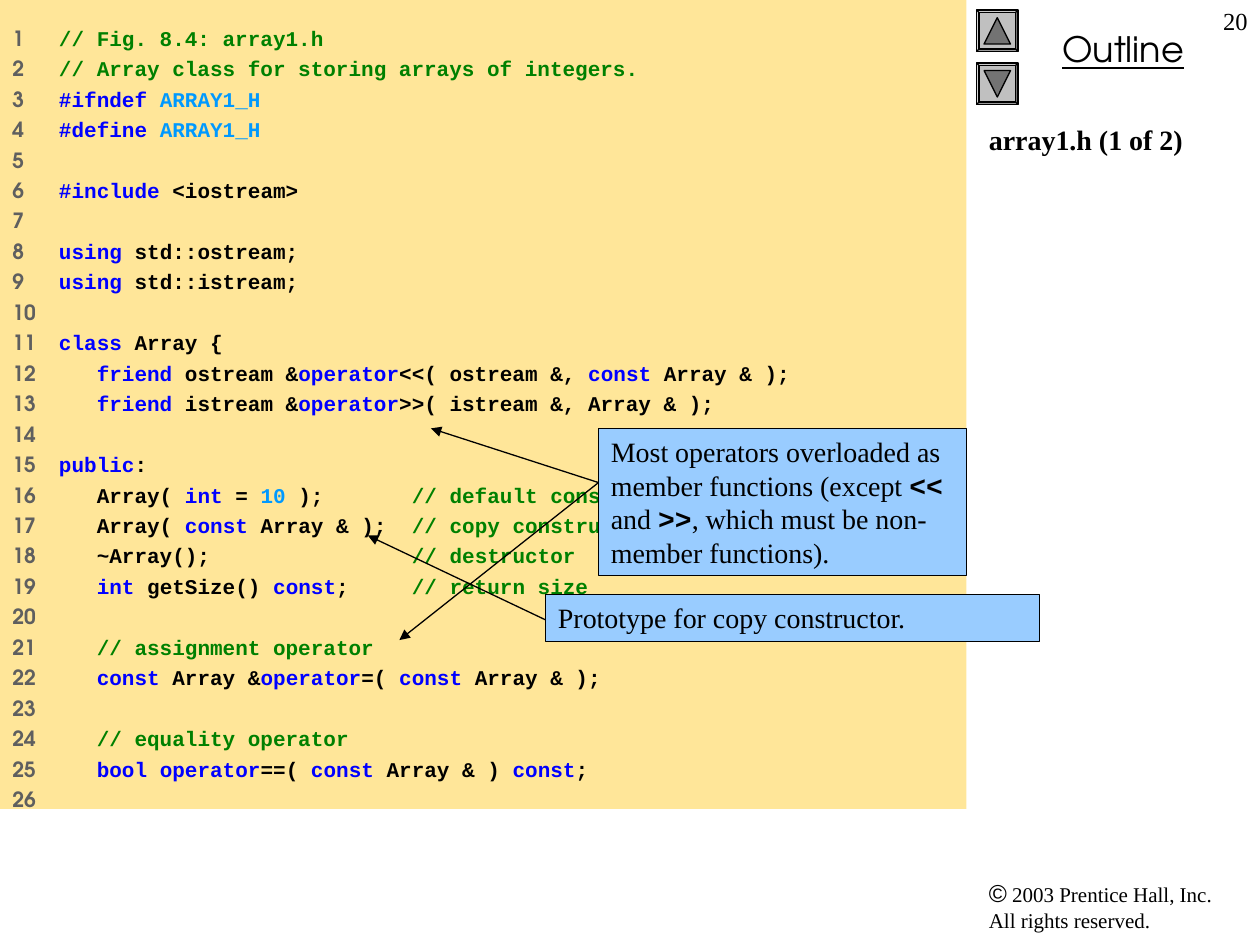
from dataclasses import dataclass
from itertools import groupby

from lxml.etree import SubElement
from pptx import Presentation
from pptx.dml.color import RGBColor
from pptx.enum.shapes import MSO_CONNECTOR, MSO_SHAPE
from pptx.enum.text import MSO_ANCHOR, PP_ALIGN
from pptx.oxml.ns import qn
from pptx.util import Inches, Pt


@dataclass(frozen=True)
class Theme:
    ink: str = "000000"
    panel: str = "FFE699"
    callout: str = "99CCFF"
    button: str = "C0C0C0"
    button_arrow: str = "737373"
    line_number: str = "5F5F5F"
    comment: str = "008000"
    keyword: str = "0000FF"
    literal: str = "0099FF"
    serif: str = "Times New Roman"
    sans: str = "Arial"
    heading: str = "TeX Gyre Adventor"
    mono: str = "Courier New"
    code_size: int = 12
    small_size: int = 12
    number_size: int = 14
    body_size: int = 16
    heading_size: int = 20
    line_width: float = 0.75


KEYWORDS = {"#ifndef", "#define", "#include", "using", "class", "friend",
            "operator", "const", "public", "int", "bool"}
LITERALS = {"ARRAY1_H", "10"}

CODE = """\
// Fig. 8.4: array1.h
// Array class for storing arrays of integers.
#ifndef ARRAY1_H
#define ARRAY1_H

#include <iostream>

using std::ostream;
using std::istream;

class Array {
   friend ostream &operator<<( ostream &, const Array & );
   friend istream &operator>>( istream &, Array & );

public:
   Array( int = 10 );       // default constructor
   Array( const Array & );  // copy constructor
   ~Array();                // destructor
   int getSize() const;     // return size

   // assignment operator
   const Array &operator=( const Array & );

   // equality operator
   bool operator==( const Array & ) const;
"""


class SlideBuilder:
    def __init__(self, slide, theme):
        self.slide = slide
        self.theme = theme

    def add_run(self, paragraph, text, font, size, color=None, bold=False):
        run = paragraph.add_run()
        run.text = text
        run.font.name = font
        run.font.size = Pt(size)
        run.font.bold = bold
        run.font.color.rgb = RGBColor.from_string(color or self.theme.ink)
        return run

    def prepare_frame(self, shape, vertical_inset=0.05):
        frame = shape.text_frame
        frame.word_wrap = True
        frame.vertical_anchor = MSO_ANCHOR.TOP
        frame.margin_left = frame.margin_right = Inches(0.1)
        frame.margin_top = frame.margin_bottom = Inches(vertical_inset)
        frame.paragraphs[0].alignment = PP_ALIGN.LEFT
        return frame

    def text_box(self, left, top, width, height):
        box = self.slide.shapes.add_textbox(
            Inches(left), Inches(top), Inches(width), Inches(height))
        return self.prepare_frame(box).paragraphs[0]

    def shape(self, kind, left, top, width, height, fill, outlined=True):
        shape = self.slide.shapes.add_shape(
            kind, Inches(left), Inches(top), Inches(width), Inches(height))
        shape.shadow.inherit = False
        shape.fill.solid()
        shape.fill.fore_color.rgb = RGBColor.from_string(fill)
        if outlined:
            shape.line.color.rgb = RGBColor.from_string(self.theme.ink)
            shape.line.width = Pt(self.theme.line_width)
        else:
            shape.line.fill.background()
        return shape

    def scroll_button(self, top, rotation):
        bevel = self.shape(MSO_SHAPE.BEVEL, 7.75, top, 0.33, 0.33, self.theme.button)
        bevel.adjustments[0] = 0.06
        triangle = self.shape(MSO_SHAPE.ISOSCELES_TRIANGLE, 7.81, top + 0.06,
                              0.21, 0.21, self.theme.button_arrow)
        triangle.rotation = rotation

    def callout(self, left, top, width, height, parts):
        box = self.shape(MSO_SHAPE.RECTANGLE, left, top, width, height,
                         self.theme.callout)
        paragraph = self.prepare_frame(box).paragraphs[0]
        for text, is_code in parts:
            font = self.theme.mono if is_code else self.theme.serif
            self.add_run(paragraph, text, font, self.theme.body_size, bold=is_code)

    def arrow(self, start, end):
        connector = self.slide.shapes.add_connector(
            MSO_CONNECTOR.STRAIGHT, *(Inches(value) for value in start + end))
        connector.line.color.rgb = RGBColor.from_string(self.theme.ink)
        connector.line.width = Pt(self.theme.line_width)
        line = connector.line._get_or_add_ln()
        SubElement(line, qn("a:tailEnd"), type="triangle")
        SubElement(connector._element.spPr, qn("a:effectLst"))

    def highlight(self, line):
        """Yield the text and colour of each part of a code line."""
        code, marker, comment = line.partition("//")
        words = groupby(code, lambda letter: letter.isalnum() or letter in "_#")
        for _, letters in words:
            word = "".join(letters)
            if word in KEYWORDS:
                yield word, self.theme.keyword
            elif word in LITERALS:
                yield word, self.theme.literal
            else:
                yield word, self.theme.ink
        if marker:
            yield marker + comment, self.theme.comment

    def code_panel(self, left, top, width, height, lines):
        theme = self.theme
        panel = self.shape(MSO_SHAPE.RECTANGLE, left, top, width, height,
                           theme.panel, outlined=False)
        frame = self.prepare_frame(panel, vertical_inset=0.2)
        for number, line in enumerate(lines, start=1):
            paragraph = frame.paragraphs[0] if number == 1 else frame.add_paragraph()
            paragraph.alignment = PP_ALIGN.LEFT
            if number > 1:
                paragraph.space_before = Pt(3)
            tabs = SubElement(paragraph._p.get_or_add_pPr(), qn("a:tabLst"))
            SubElement(tabs, qn("a:tab"), pos=str(Inches(0.37)), algn="l")
            label = f"{number}\t" if line else str(number)
            self.add_run(paragraph, label, theme.heading, theme.code_size,
                         theme.line_number, bold=True)
            for text, color in self.highlight(line):
                self.add_run(paragraph, text, theme.mono, theme.code_size,
                             color, bold=True)


def main():
    theme = Theme()
    presentation = Presentation()
    presentation.slide_width, presentation.slide_height = Inches(10), Inches(7.5)
    slide = presentation.slides.add_slide(presentation.slide_layouts[6])
    builder = SlideBuilder(slide, theme)

    # Copyright line
    paragraph = builder.text_box(7.75, 6.92, 2.17, 0.54)
    builder.add_run(paragraph, "©", theme.sans, theme.number_size)
    builder.add_run(paragraph, " 2003 Prentice Hall, Inc.", theme.serif, theme.small_size)
    paragraph.add_line_break()
    builder.add_run(paragraph, "All rights reserved.", theme.serif, theme.small_size)

    # Outline heading and scroll buttons
    paragraph = builder.text_box(7.83, 0.17, 2.17, 0.44)
    paragraph.alignment = PP_ALIGN.CENTER
    run = builder.add_run(paragraph, "Outline", theme.heading, theme.heading_size)
    run.font.underline = True
    builder.scroll_button(0.08, 0)
    builder.scroll_button(0.5, 180)

    # File title
    paragraph = builder.text_box(7.75, 0.92, 2.25, 5.25)
    builder.add_run(paragraph, "array1.h (1 of 2)", theme.serif, theme.body_size, bold=True)

    # Code listing, ending with an empty numbered line
    builder.code_panel(0, 0, 7.67, 6.42, CODE.split("\n"))

    # Callouts with their arrows
    builder.callout(4.75, 3.4, 2.92, 1.17, [
        ("Most operators overloaded as member functions (except ", False),
        ("<<", True), (" and ", False), (">>", True),
        (", which must be non-member functions).", False)])
    builder.arrow((4.75, 3.83), (3.17, 5.08))
    builder.arrow((4.75, 3.83), (3.42, 3.4))
    builder.callout(4.33, 4.72, 3.92, 0.37, [("Prototype for copy constructor.", False)])
    builder.arrow((4.33, 4.92), (2.92, 4.25))

    # Slide number
    paragraph = builder.text_box(9.5, 0, 0.5, 0.5)
    paragraph.alignment = PP_ALIGN.RIGHT
    builder.add_run(paragraph, "20", theme.serif, theme.number_size)

    presentation.save("out.pptx")


if __name__ == "__main__":
    main()
